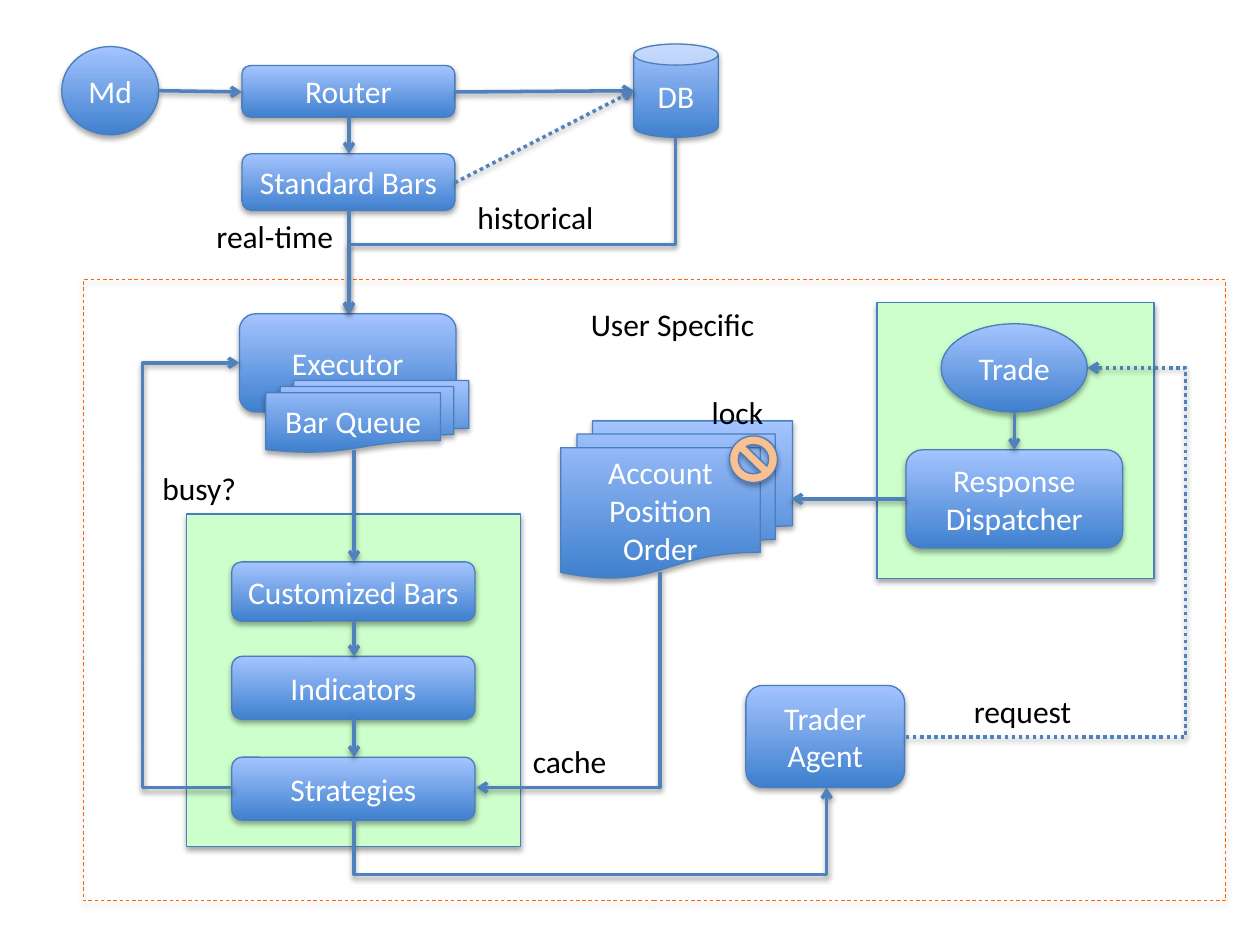
from lxml.etree import SubElement
from pptx import Presentation
from pptx.dml.color import RGBColor
from pptx.enum.dml import MSO_LINE
from pptx.enum.shapes import MSO_CONNECTOR, MSO_SHAPE
from pptx.enum.text import MSO_ANCHOR, MSO_AUTO_SIZE, PP_ALIGN
from pptx.oxml.ns import qn
from pptx.util import Inches, Pt

COLORS = {
    "panel": "CCFFCC", "edge": "4B7EBC", "arrow": "4F81BD", "frame": "FF6600",
    "dark": "3F80CE", "light": "A4C4FF", "lock": "FAC090",
    "white": "FFFFFF", "black": "000000",
}
ROUND, OVAL = MSO_SHAPE.ROUNDED_RECTANGLE, MSO_SHAPE.OVAL
STACK = MSO_SHAPE.FLOWCHART_MULTIDOCUMENT

PANELS = [(1.48, 4.08, 2.65, 2.64), (6.96, 2.4, 2.2, 2.19)]
FRAME = (0.66, 2.22, 9.07, 4.93)
LOCK = (5.79, 3.46, 0.38, 0.37)

# text, preset, (left, top, width, height)
NODES = [
    ("Trade", OVAL, (7.47, 2.57, 1.16, 0.7)),
    ("Response\nDispatcher", ROUND, (7.19, 3.57, 1.72, 0.78)),
    ("Router", ROUND, (1.92, 0.52, 1.69, 0.41)),
    ("DB", MSO_SHAPE.CAN, (5.03, 0.35, 0.67, 0.74)),
    ("Standard Bars", ROUND, (1.92, 1.22, 1.69, 0.45)),
    ("Executor", ROUND, (1.9, 2.49, 1.72, 0.78)),
    ("Bar Queue", STACK, (2.11, 3.02, 1.61, 0.57)),
    ("Customized Bars", ROUND, (1.84, 4.46, 1.93, 0.47)),
    ("Indicators", ROUND, (1.84, 5.21, 1.93, 0.5)),
    ("Strategies", ROUND, (1.84, 6.01, 1.93, 0.5)),
    ("Md", OVAL, (0.49, 0.37, 0.77, 0.7)),
    ("Account\nPosition\nOrder", STACK, (4.45, 3.34, 1.84, 1.25)),
    ("Trader Agent", ROUND, (5.92, 5.44, 1.26, 0.81)),
]

# start, end, dotted
STRAIGHT = [
    ((3.61, 0.73), (5.03, 0.72), False),
    ((3.61, 1.45), (5.03, 0.72), True),
    ((2.77, 0.93), (2.77, 1.22), False),
    ((2.77, 1.67), (2.77, 2.49), False),
    ((2.81, 3.57), (2.81, 4.46), False),
    ((1.26, 0.72), (1.92, 0.73), False),
    ((7.19, 3.96), (6.28, 3.96), False),
    ((2.81, 4.93), (2.81, 5.21), False),
    ((2.81, 5.7), (2.81, 6.01), False),
    ((8.05, 3.27), (8.05, 3.57), False),
]

# start, end, starts vertically, position of the middle leg, dotted
BENT = [
    ((5.36, 1.09), (2.77, 2.49), True, 1.94, False),
    ((5.24, 4.54), (3.78, 6.25), True, None, False),
    ((7.19, 5.85), (8.63, 2.92), False, 9.41, True),
    ((1.84, 6.25), (1.9, 2.88), False, 1.13, False),
    ((2.81, 6.5), (6.56, 6.25), True, 6.94, False),
]

LABELS = [
    ("real-time", (1.62, 1.67, 1.14, 0.4)),
    ("historical", (3.69, 1.52, 1.14, 0.4)),
    ("busy?", (1.19, 3.67, 0.81, 0.4)),
    ("cache", (4.13, 5.84, 0.81, 0.4)),
    ("lock", (5.55, 3.07, 0.81, 0.4)),
    ("User Specific", (4.59, 2.37, 1.95, 0.4)),
    ("request", (7.63, 5.44, 1.29, 0.41)),
]


def rgb(name):
    """Return a named colour."""
    return RGBColor.from_string(COLORS[name])


def add_shadow(sp, dist, alpha):
    """Give a shape or connector a soft shadow straight below it."""
    effects = SubElement(sp._element.spPr, qn("a:effectLst"))
    shadow = SubElement(effects, qn("a:outerShdw"), blurRad="40000",
                        dist=str(dist), dir="5400000", rotWithShape="0")
    color = SubElement(shadow, qn("a:srgbClr"), val=COLORS["black"])
    SubElement(color, qn("a:alpha"), val=str(alpha * 1000))


def write(sp, text, color="black", align=PP_ALIGN.LEFT, anchor=MSO_ANCHOR.TOP):
    """Write one paragraph per line of text."""
    tf = sp.text_frame
    tf.word_wrap = True
    tf.vertical_anchor = anchor
    for i, line in enumerate(text.split("\n")):
        p = tf.paragraphs[0] if i == 0 else tf.add_paragraph()
        p.alignment = align
        r = p.add_run()
        r.text = line
        r.font.size, r.font.name = Pt(18), "Calibri"
        r.font.color.rgb = rgb(color)


def add_box(s, preset, box, fill=None, edge="edge", width=0.75, dash=None):
    """Add a preset shape with a flat, gradient or absent fill."""
    sp = s.shapes.add_shape(preset, *map(Inches, box))
    if fill == "gradient":
        sp.fill.gradient()
        sp.fill.gradient_angle = 90
        for stop, name in zip(sp.fill.gradient_stops, ("dark", "light")):
            stop.color.rgb = rgb(name)
    elif fill:
        sp.fill.solid()
        sp.fill.fore_color.rgb = rgb(fill)
    else:
        sp.fill.background()
    sp.line.color.rgb = rgb(edge)
    sp.line.width = Pt(width)
    if dash:
        sp.line.dash_style = dash
    add_shadow(sp, 23000, 35)
    return sp


def add_arrow(s, start, end, dotted, kind=MSO_CONNECTOR.STRAIGHT):
    """Add a connector with an arrowhead at its end."""
    c = s.shapes.add_connector(kind, *map(Inches, start + end))
    c.line.color.rgb = rgb("arrow")
    c.line.width = Pt(2)
    if dotted:
        c.line.dash_style = MSO_LINE.ROUND_DOT
    SubElement(c.line._get_or_add_ln(), qn("a:tailEnd"), type="arrow")
    add_shadow(c, 20000, 38)
    return c


def add_bent_arrow(s, start, end, vertical, middle, dotted):
    """Add an elbow arrow whose first leg is vertical or horizontal."""
    c = add_arrow(s, start, end, dotted, MSO_CONNECTOR.ELBOW)
    dx, dy = end[0] - start[0], end[1] - start[1]
    w, h = (abs(dy), abs(dx)) if vertical else (abs(dx), abs(dy))
    c.left = Inches((start[0] + end[0] - w) / 2)
    c.top = Inches((start[1] + end[1] - h) / 2)
    c.width, c.height = Inches(w), Inches(h)
    xfrm = c._element.spPr.find(qn("a:xfrm"))
    flip_h, flip_v = (dy < 0, dx > 0) if vertical else (dx < 0, dy < 0)
    xfrm.set("rot", "5400000" if vertical else "0")
    xfrm.set("flipH", str(int(flip_h)))
    xfrm.set("flipV", str(int(flip_v)))
    geom = c._element.spPr.find(qn("a:prstGeom"))
    if middle is None:
        geom.set("prst", "bentConnector2")
        return
    axis = int(vertical)
    adj = (middle - start[axis]) / (end[axis] - start[axis])
    guides = geom.find(qn("a:avLst"))
    SubElement(guides, qn("a:gd"), name="adj1", fmla=f"val {round(adj * 100000)}")


def build():
    """Build and save the slide."""
    prs = Presentation()
    prs.slide_width, prs.slide_height = Inches(10), Inches(7.5)
    s = prs.slides.add_slide(prs.slide_layouts[6])
    for box in PANELS:
        add_box(s, MSO_SHAPE.RECTANGLE, box, "panel")
    for text, preset, box in NODES:
        sp = add_box(s, preset, box, "gradient")
        write(sp, text, "white", PP_ALIGN.CENTER, MSO_ANCHOR.MIDDLE)
    add_box(s, MSO_SHAPE.NO_SYMBOL, LOCK, "lock")
    add_box(s, MSO_SHAPE.RECTANGLE, FRAME, None, "frame", 0.5, MSO_LINE.DASH)
    for arrow in STRAIGHT:
        add_arrow(s, *arrow)
    for arrow in BENT:
        add_bent_arrow(s, *arrow)
    for text, box in LABELS:
        tb = s.shapes.add_textbox(*map(Inches, box))
        write(tb, text)
        tb.text_frame.auto_size = MSO_AUTO_SIZE.SHAPE_TO_FIT_TEXT
    prs.save("out.pptx")


build()
